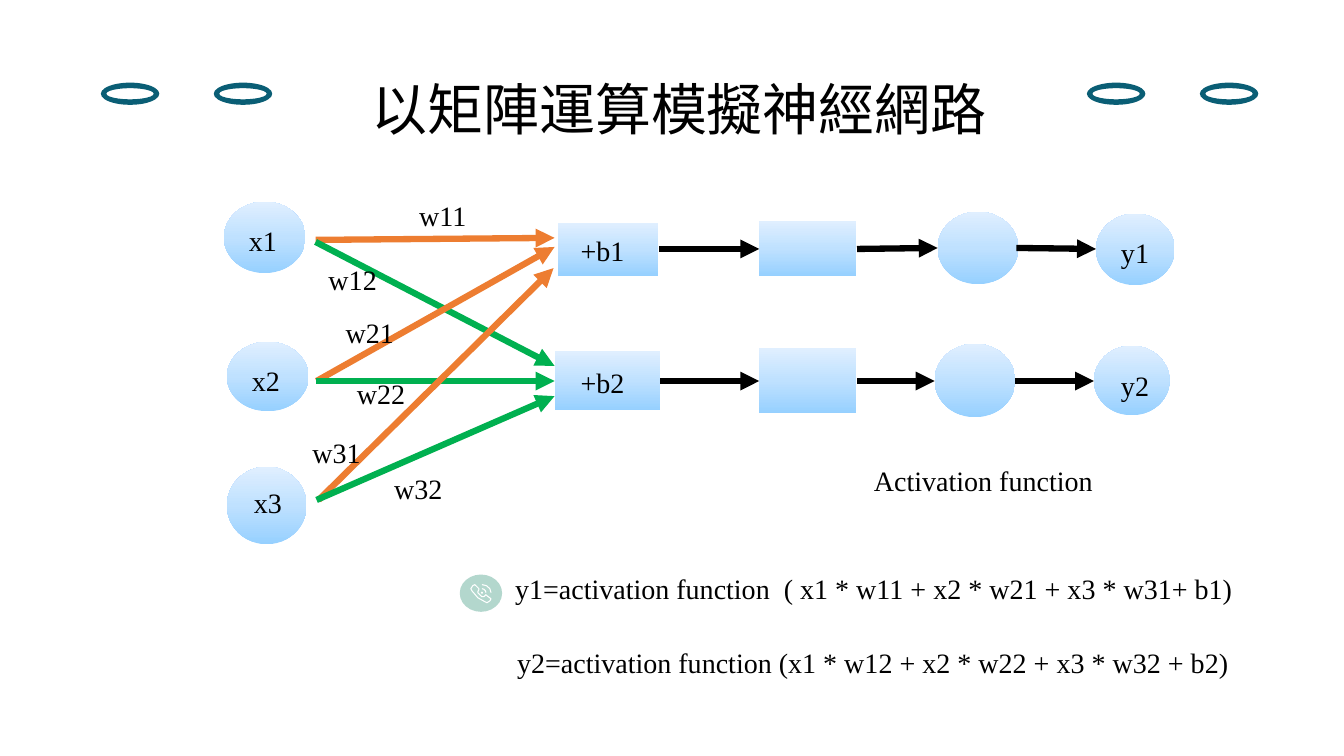
from copy import deepcopy
from lxml import etree
from pptx import Presentation
from pptx.dml.color import RGBColor
from pptx.enum.shapes import MSO_CONNECTOR, MSO_SHAPE
from pptx.enum.text import MSO_ANCHOR, PP_ALIGN
from pptx.oxml.ns import qn
from pptx.util import Inches, Pt

STRAIGHT = MSO_CONNECTOR.STRAIGHT
NODE, BOX = MSO_SHAPE.FLOWCHART_CONNECTOR, MSO_SHAPE.RECTANGLE
DONUT, OVAL, ARC = MSO_SHAPE.DONUT, MSO_SHAPE.OVAL, MSO_SHAPE.ARC
TOP, CENTER = MSO_ANCHOR.TOP, PP_ALIGN.CENTER

TITLE = "以矩陣運算模擬神經網路"
TITLE_FONT, BODY_FONT = "Noto Sans CJK SC", "Times New Roman"
BLACK, WHITE, TEAL, MINT = "000000", "FFFFFF", "0A5E75", "A0CDC1"
ORANGE, GREEN = "ED7D31", "00B050"
GRADIENT = [(0, "96D0FF"), (0.5, "BFE1FF"), (1, "E0EFFF")]

RING_GROUPS, RING_STEP = (1, 10.78), 1.12
UNITS = [
    (NODE, 2.22, 2, 0.81, 0.71), (NODE, 2.25, 3.39, 0.81, 0.69),
    (NODE, 2.25, 4.63, 0.79, 0.77),
    (BOX, 5.53, 2.21, 1, 0.53), (BOX, 5.5, 3.48, 1.05, 0.59),
    (BOX, 7.53, 2.19, 0.96, 0.55), (BOX, 7.53, 3.45, 0.96, 0.65),
    (NODE, 9.3, 2.1, 0.8, 0.72), (NODE, 9.27, 3.41, 0.8, 0.73),
    (NODE, 10.87, 2.12, 0.78, 0.71), (NODE, 10.85, 3.43, 0.75, 0.69),
]
WEIGHT_ARROWS = [
    (ORANGE, 3.13, 2.38, 5.5, 2.36), (GREEN, 3.13, 2.4, 5.5, 3.63),
    (ORANGE, 3.14, 3.78, 5.5, 2.45), (GREEN, 3.13, 3.78, 5.5, 3.78),
    (ORANGE, 3.16, 4.96, 5.49, 2.66), (GREEN, 3.14, 4.96, 5.5, 3.93),
]
OUTPUT_ARROWS = [
    (6.54, 2.47, 7.53, 2.47), (8.5, 2.47, 9.3, 2.46), (10.08, 2.46, 10.87, 2.47),
    (6.55, 3.78, 7.53, 3.78), (8.5, 3.78, 9.27, 3.78), (10.07, 3.78, 10.85, 3.78),
]
LABELS = [
    ("Activation function", 8.57, 4.55, 2.5),
    ("x1", 2.37, 2.17, 0.5), ("x2", 2.4, 3.56, 0.54), ("x3", 2.42, 4.77, 0.58),
    ("+b1", 5.66, 2.27, 0.84), ("y1", 11.02, 2.29, 0.56),
    ("+b2", 5.66, 3.58, 0.79), ("y2", 11.02, 3.61, 0.56),
    ("w11", 4.06, 1.92, 0.7), ("w12", 3.16, 2.56, 0.8),
    ("w21", 3.33, 3.08, 0.75), ("w22", 3.44, 3.69, 0.85),
    ("w31", 3, 4.27, 0.8), ("w32", 3.81, 4.63, 0.81),
    ("y1=activation function  ( x1 * w11 + x2 * w21 + x3 * w31+ b1)", 5.01, 5.62, 7.75),
    ("y2=activation function (x1 * w12 + x2 * w22 + x3 * w32 + b2)", 5.03, 6.35, 7.29),
]
LABEL_HEIGHT = 0.44
HANDSET = [
    (4.71, 5.8), (4.72, 5.81), (4.75, 5.84), (4.75, 5.85), (4.74, 5.87), (4.74, 5.88),
    (4.78, 5.92), (4.8, 5.92), (4.82, 5.9), (4.83, 5.91), (4.87, 5.94), (4.86, 5.96),
    (4.83, 5.98), (4.81, 5.97), (4.74, 5.93), (4.68, 5.86), (4.67, 5.84), (4.69, 5.81),
]
WAVE_CENTER, WAVE_RADII = (4.78, 5.88), [(0.09, 0.08), (0.04, 0.04)]


def rgb(value):
    return RGBColor.from_string(value)


def place(shape, *frame):
    shape.left, shape.top, shape.width, shape.height = map(Inches, frame)


def write(shape, text, font_name, size):
    frame = shape.text_frame
    frame.word_wrap = True
    frame.vertical_anchor = TOP
    frame.text = text
    paragraph = frame.paragraphs[0]
    font = paragraph.font
    font.size, font.name = Pt(size), font_name
    font.color.rgb = rgb(BLACK)
    return paragraph


def add_plain(shapes, kind, frame, color):
    shape = shapes.add_shape(kind, *map(Inches, frame))
    shape.shadow.inherit = False
    shape.fill.solid()
    shape.fill.fore_color.rgb = rgb(color)
    shape.line.fill.background()
    return shape


def add_unit(shapes, kind, *frame):
    unit = add_plain(shapes, kind, frame, WHITE)
    unit.fill.gradient()
    stop_list = unit._element.spPr.find(".//" + qn("a:gsLst"))
    stop_list.append(deepcopy(stop_list[0]))
    for stop, (position, color) in zip(unit.fill.gradient_stops, GRADIENT):
        stop.position = position
        stop.color.rgb = rgb(color)
    unit.fill.gradient_angle = 90


def add_arrow(shapes, color, *ends):
    arrow = shapes.add_connector(STRAIGHT, *map(Inches, ends))
    arrow.line.width = Pt(4.5)
    arrow.line.color.rgb = rgb(color)
    etree.SubElement(arrow.line._get_or_add_ln(), qn("a:tailEnd"), type="triangle")
    etree.SubElement(arrow._element.spPr, qn("a:effectLst"))


def outline_white(shape):
    shape.shadow.inherit = False
    shape.fill.background()
    shape.line.color.rgb = rgb(WHITE)
    shape.line.width = Pt(0.75)


def add_phone(shapes):
    disc = add_plain(shapes, OVAL, (4.56, 5.7, 0.42, 0.37), MINT)
    etree.SubElement(disc._element.spPr.find(".//" + qn("a:srgbClr")), qn("a:alpha"), val="80000")
    points = [(Inches(x), Inches(y)) for x, y in HANDSET]
    builder = shapes.build_freeform(*points[0])
    builder.add_line_segments(points[1:], close=True)
    outline_white(builder.convert_to_shape())
    x, y = WAVE_CENTER
    for rx, ry in WAVE_RADII:
        outline_white(shapes.add_shape(ARC, *map(Inches, (x - rx, y - ry, 2 * rx, 2 * ry))))
    add_plain(shapes, OVAL, (x - 0.01, y - 0.01, 0.02, 0.02), WHITE)


def main():
    deck = Presentation()
    deck.slide_width, deck.slide_height = Inches(13.33), Inches(7.5)
    slide = deck.slides.add_slide(deck.slide_layouts[5])
    shapes = slide.shapes

    place(shapes.title, 3.56, 0.69, 6.35, 0.77)
    heading = write(shapes.title, TITLE, TITLE_FONT, 40)
    heading.alignment = CENTER
    etree.SubElement(heading.font._element, qn("a:ea"), typeface=TITLE_FONT)

    for start in RING_GROUPS:
        for column in range(2):
            add_plain(shapes, DONUT, (start + column * RING_STEP, 0.82, 0.58, 0.22), TEAL)
    for unit in UNITS:
        add_unit(shapes, *unit)
    for arrow in WEIGHT_ARROWS:
        add_arrow(shapes, *arrow)
    for ends in OUTPUT_ARROWS:
        add_arrow(shapes, BLACK, *ends)
    for text, left, top, width in LABELS:
        label = shapes.add_textbox(*map(Inches, (left, top, width, LABEL_HEIGHT)))
        write(label, text, BODY_FONT, 20)
    add_phone(shapes)
    deck.save("out.pptx")


if __name__ == "__main__":
    main()
